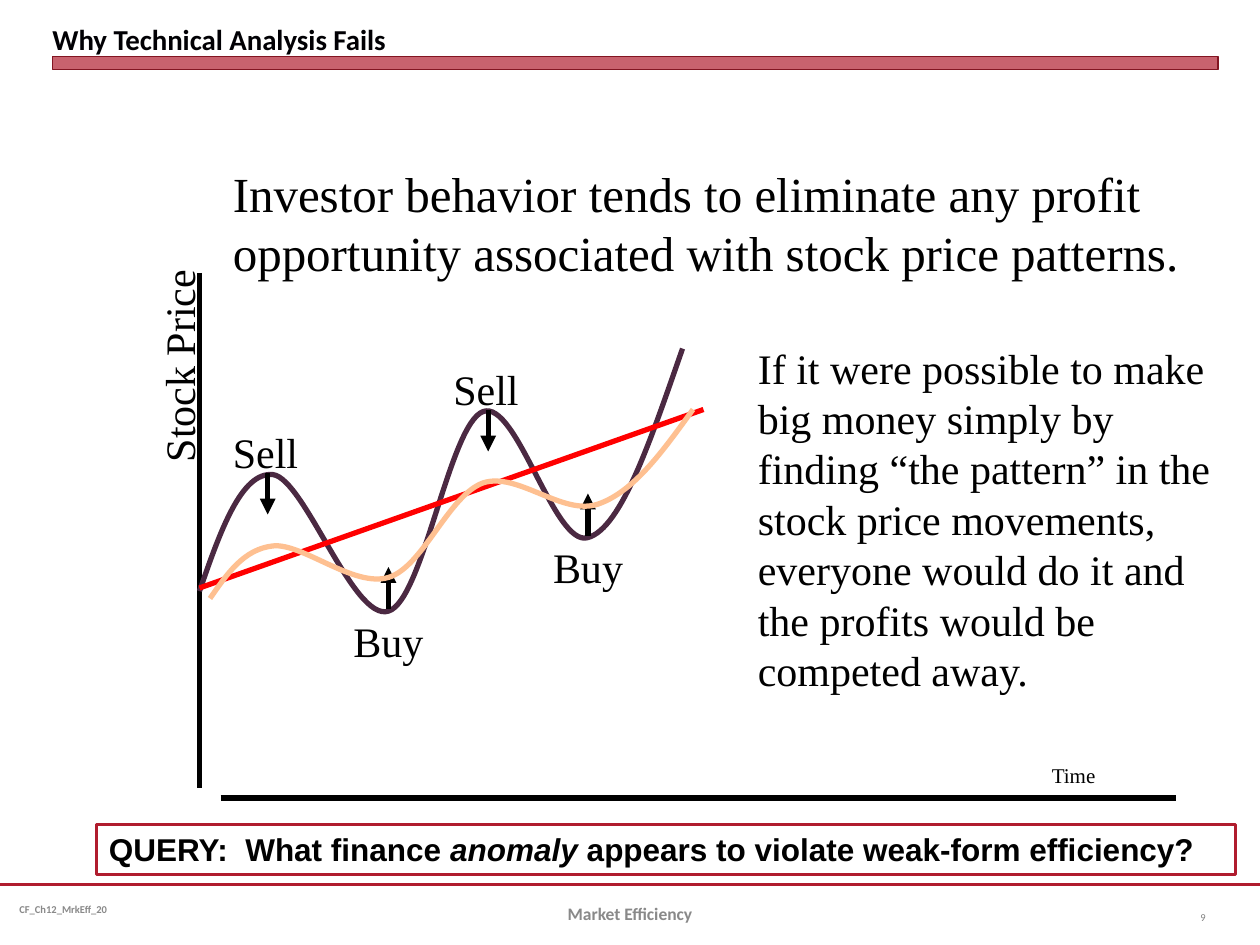
"""Build the slide on why technical analysis fails, on a grid of 120 columns by 90 rows."""
from lxml import etree
from pptx import Presentation
from pptx import util as u
from pptx.dml.color import RGBColor
from pptx.enum import shapes, text
from pptx.oxml import ns

BLACK = RGBColor(0, 0, 0)
INK = RGBColor(0x01, 0x00, 0x04)
GREY = RGBColor(0x80, 0x80, 0x80)
PALE = RGBColor(0x89, 0x89, 0x89)
CRIMSON = RGBColor(0xB0, 0x1C, 0x2E)
DARK = RGBColor(0x82, 0x15, 0x22)
RED = RGBColor(0xFF, 0, 0)
PLUM = RGBColor(0x4B, 0x29, 0x42)
PEACH = RGBColor(0xFE, 0xC0, 0x91)

SERIF, SANS, ARIAL = "Times New Roman", "Calibri", "Arial"
LEFT, MID, RIGHT = text.PP_ALIGN.LEFT, text.PP_ALIGN.CENTER, text.PP_ALIGN.RIGHT
TOP, CENTER, BOTTOM = (text.MSO_ANCHOR.TOP, text.MSO_ANCHOR.MIDDLE,
                       text.MSO_ANCHOR.BOTTOM)

SWINGS = [
    (19, 56.3), (21, 50.5), (23, 44.9), (26, 45.2),
    (29, 45.6), (33.7, 59.3), (37, 58.2),
    (40.3, 57.2), (42.8, 40.4), (46, 39.2),
    (49.2, 38), (52.8, 52.2), (56, 51.2),
    (59.2, 50.3), (62, 41.8), (65, 33.2),
]
DAMPED = [
    (20, 57), (21.6, 54.7), (23.2, 52.3), (26, 52),
    (28.8, 51.7), (33.7, 56), (37, 55),
    (40.3, 54), (42.7, 47.2), (46, 46),
    (49.3, 44.9), (53.6, 49.2), (57, 48),
    (60.4, 46.8), (63.1, 43), (66, 39),
]


def grid(*cells):
    """Turn grid units, twelve to the inch, into slide lengths."""
    return [u.Inches(cell / 12) for cell in cells]


def write(frame, words, font=SERIF, size=24, color=BLACK, bold=False,
          align=LEFT, anchor=TOP, inset=(0.1, 0.05)):
    """Write words in a frame, with each part between asterisks in italics."""
    frame.word_wrap = True
    frame.vertical_anchor = anchor
    frame.margin_left = frame.margin_right = u.Inches(inset[0])
    frame.margin_top = frame.margin_bottom = u.Inches(inset[1])
    para = frame.paragraphs[0]
    para.alignment = align
    for index, part in enumerate(words.split("*")):
        run = para.add_run()
        run.text = part
        run.font.name, run.font.size = font, u.Pt(size)
        run.font.bold, run.font.italic = bold, index % 2 == 1
        run.font.color.rgb = color


def label(tree, cells, words, turn=0, **style):
    """Add a text box."""
    box = tree.add_textbox(*grid(*cells))
    box.rotation = turn
    write(box.text_frame, words, **style)


def line(tree, cells, color=BLACK, width=3, arrow=None):
    """Add a straight line, with an arrowhead at the named end."""
    rule = tree.add_connector(shapes.MSO_CONNECTOR.STRAIGHT, *grid(*cells))
    rule.line.color.rgb, rule.line.width = color, u.Pt(width)
    props = rule._element.spPr
    if arrow:
        etree.SubElement(props.find(ns.qn("a:ln")), ns.qn(arrow), type="triangle")
    etree.SubElement(props, ns.qn("a:effectLst"))


def block(tree, cells, edge, width):
    """Add an unfilled rectangle with an outline."""
    rect = tree.add_shape(shapes.MSO_SHAPE.RECTANGLE, *grid(*cells))
    rect.shadow.inherit = False
    rect.fill.background()
    rect.line.color.rgb, rect.line.width = edge, u.Pt(width)
    return rect


def tint(shape, color, alpha):
    """Fill a shape with a colour at a percentage of opacity."""
    shape.fill.solid()
    shape.fill.fore_color.rgb = color
    tone = shape._element.spPr.find(".//" + ns.qn("a:srgbClr"))
    etree.SubElement(tone, ns.qn("a:alpha"), val=str(alpha * 1000))


def curve(tree, points, color):
    """Add an open curve of cubic pieces, three points to a piece."""
    start, *rest = [grid(*point) for point in points]
    pen = tree.build_freeform(*start)
    pen.add_line_segments(rest, close=False)
    wave = pen.convert_to_shape()
    wave.shadow.inherit = False
    wave.fill.background()
    wave.line.color.rgb, wave.line.width = color, u.Pt(3)
    track = wave._element.spPr.find(".//" + ns.qn("a:path"))
    steps = track.findall(ns.qn("a:lnTo"))
    for first in range(0, len(steps), 3):
        piece = etree.SubElement(track, ns.qn("a:cubicBezTo"))
        for step in steps[first:first + 3]:
            piece.append(step[0])
            track.remove(step)


def sell(tree, col, row):
    """Group a Sell label with the arrow down from it."""
    group = tree.add_group_shape().shapes
    line(group, (col + 4.5, row + 5, col + 4.5, row + 9), arrow="a:tailEnd")
    label(group, (col, row, 9, 6), "Sell")


def buy(tree, col, row):
    """Group a Buy label with the arrow up from it."""
    group = tree.add_group_shape().shapes
    line(group, (col + 5, row - 4, col + 5, row), arrow="a:headEnd")
    label(group, (col, row, 10, 6), "Buy", align=MID)


def frame(tree):
    """Add the title, its bar and the footer."""
    line(tree, (0, 84.25, 120, 84.25), CRIMSON, 1.25)
    label(tree, (1, 84.25, 31, 4.8), "CF_Ch12_MrkEff_20", font=SANS, size=6,
          color=PALE, bold=True, anchor=CENTER, inset=(0.07, 0.04))
    tint(block(tree, (5, 5.4, 111, 1.2), DARK, 0), CRIMSON, 69)
    label(tree, (5, 0.6, 111, 4.8), "Why Technical Analysis Fails", font=SANS,
          size=16.5, color=INK, bold=True, anchor=BOTTOM, inset=(0, 0))
    label(tree, (110, 85, 6, 4.8), "9", font=SANS, size=6, color=GREY,
          align=RIGHT, anchor=CENTER)
    label(tree, (41, 84.6, 38, 4.8), "Market Efficiency", font=SANS, size=10,
          color=PALE, bold=True, align=MID, anchor=CENTER)


def main():
    """Build and save the slide."""
    deck = Presentation()
    deck.slide_width, deck.slide_height = grid(120, 90)
    tree = deck.slides.add_slide(deck.slide_layouts[6]).shapes
    frame(tree)
    line(tree, (19, 26, 19, 75))
    line(tree, (21, 76, 112, 76))
    label(tree, (5.4, 30.6, 23.2, 6), "Stock Price", turn=270)
    label(tree, (99, 72, 12, 3.6), "Time", size=12)
    label(tree, (21, 15, 95, 12.4),
          "Investor behavior tends to eliminate any profit opportunity "
          "associated with stock price patterns.", size=28)
    label(tree, (71, 32, 47, 34.8),
          "If it were possible to make big money simply by finding “the pattern” "
          "in the stock price movements, everyone would do it and the profits "
          "would be competed away.")
    curve(tree, SWINGS, PLUM)
    line(tree, (19, 56, 67, 39), RED)
    for spot in ((21, 40), (42, 34)):
        sell(tree, *spot)
    for spot in ((32, 58), (51, 51)):
        buy(tree, *spot)
    curve(tree, DAMPED, PEACH)
    query = block(tree, (9.2, 78.5, 108.5, 4.8), CRIMSON, 1.5)
    write(query.text_frame, "QUERY:  What finance *anomaly* appears to violate "
          "weak-form efficiency?", font=ARIAL, size=18, bold=True)
    deck.save("out.pptx")


if __name__ == "__main__":
    main()
